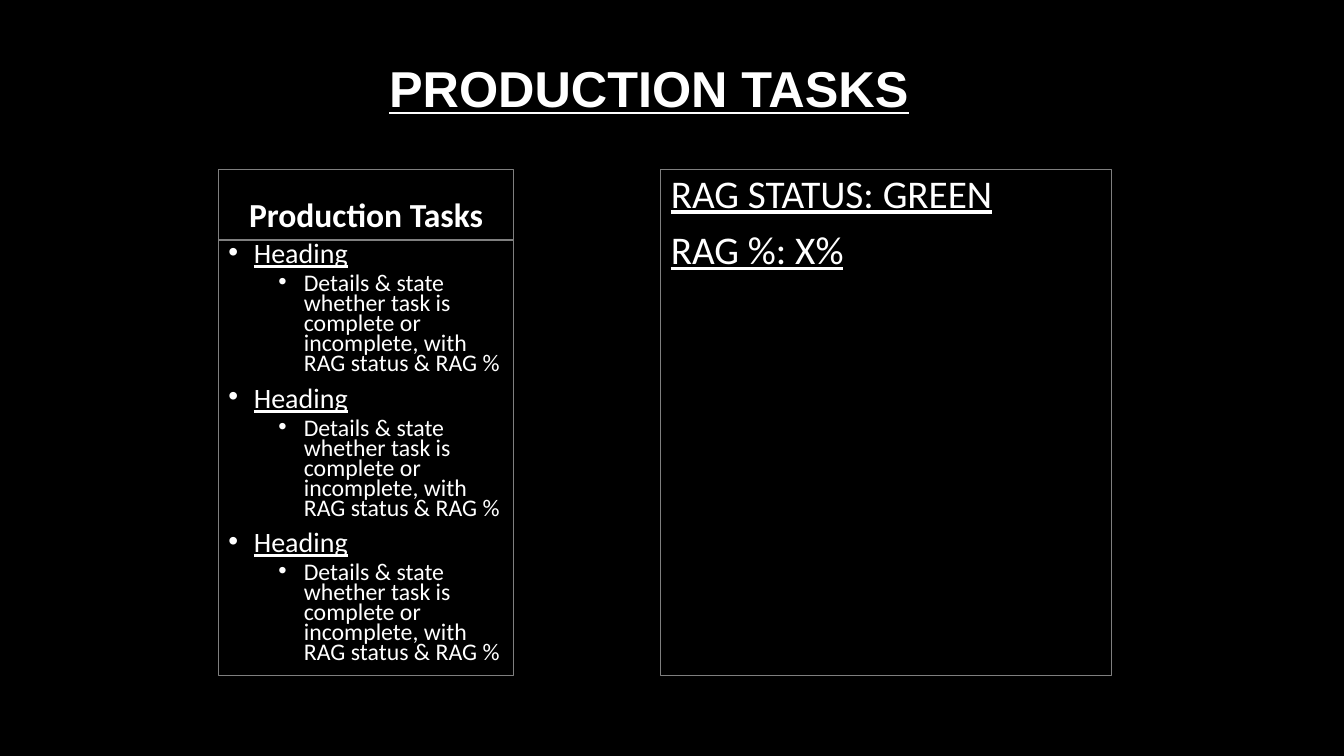
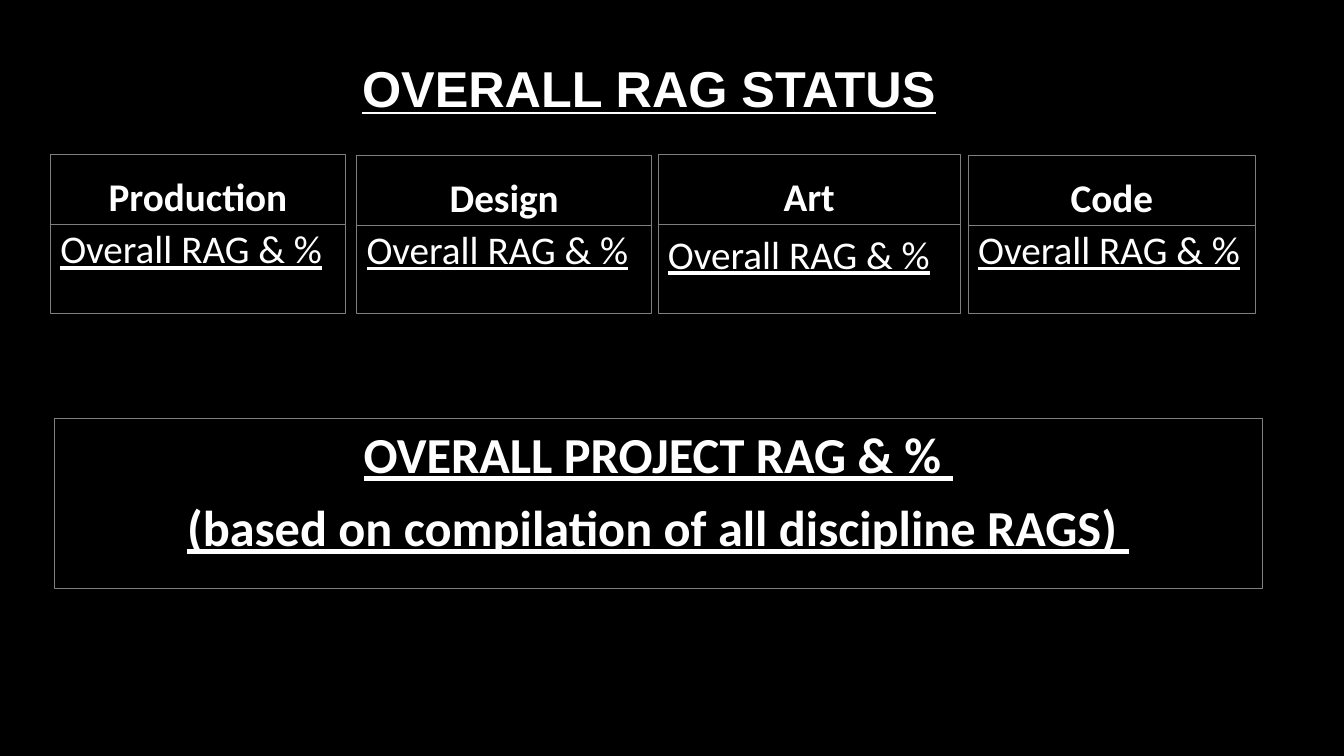
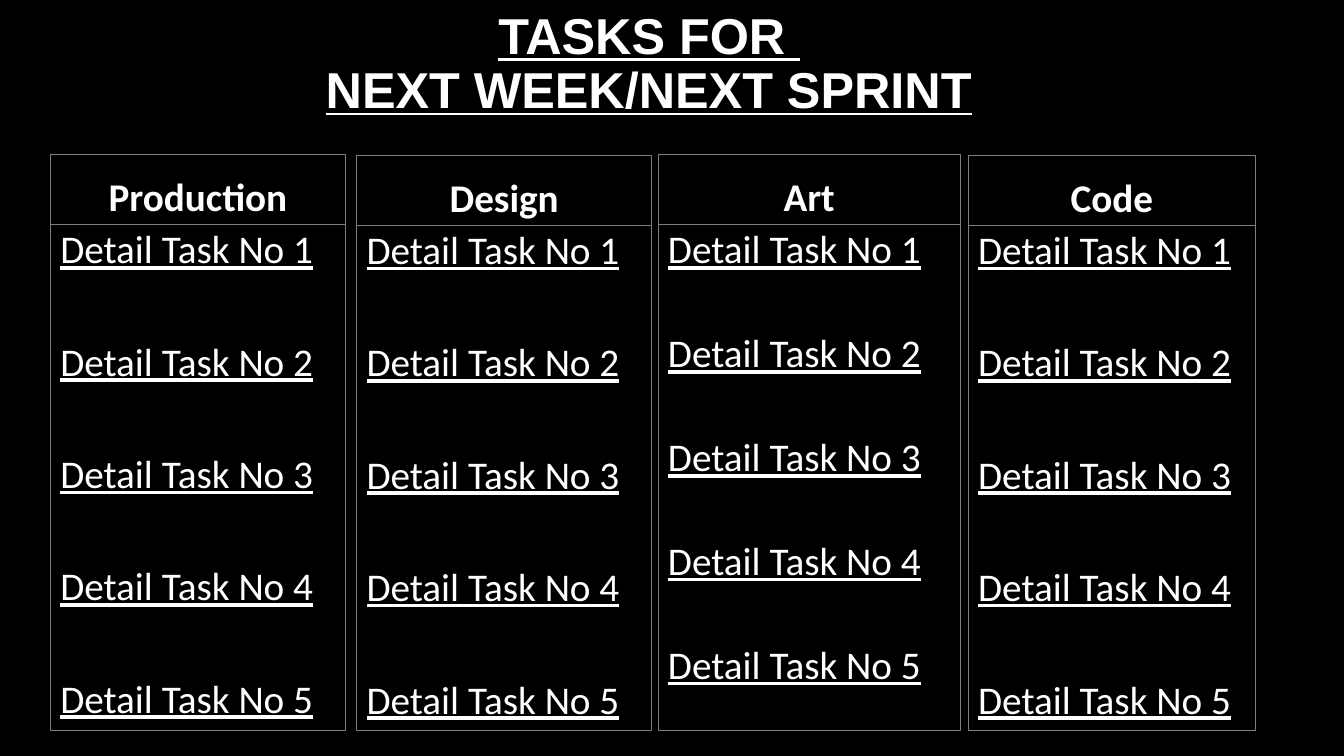
from dataclasses import dataclass

from lxml.etree import SubElement
from pptx import Presentation
from pptx.dml.color import RGBColor as RGB
from pptx.enum.shapes import MSO_SHAPE as Kind
from pptx.enum.text import MSO_ANCHOR as Anchor, PP_ALIGN as Align
from pptx.oxml.ns import qn
from pptx.slide import Slide
from pptx.text.text import _Paragraph as Para
from pptx.util import Cm, Pt


# Colours, fonts and type sizes
@dataclass(frozen=True)
class Theme:
    back: RGB = RGB(0x00, 0x00, 0x00)
    ink: RGB = RGB(0xFF, 0xFF, 0xFF)
    edge: RGB = RGB(0x7F, 0x7F, 0x7F)
    head: str = "Arial"
    body: str = "Calibri"
    big: int = 36
    text: int = 28
    label: int = 24
    item: int = 20
    note: int = 17


THEME = Theme()


@dataclass(frozen=True)
class Box:
    left: float
    top: float
    width: float
    height: float


@dataclass(frozen=True)
class Style:
    size: int = THEME.text
    font: str = THEME.body
    bold: bool = False
    under: bool = False
    mid: bool = False
    lead: float = 0.9
    gap: float = 0
    indent: float = 0  # left edge of bulleted text; 0 means no bullet


@dataclass(frozen=True)
class Line:
    text: str
    style: Style


@dataclass(frozen=True)
class Column:
    name: str
    left: float
    top: float
    width: float
    lead: float = 0.9  # line spacing of the status
    gap: float = 50  # points between tasks


TITLE = Style(THEME.big, THEME.head, bold=True, under=True, mid=True)
LABEL = Style(bold=True, mid=True)
TASK = Style(THEME.item, under=True, lead=0.7, gap=10, indent=0.64)
NOTE = Style(THEME.note, lead=0.7, gap=5, indent=1.9)

HEAD = 1.78  # height of a column's heading
HANG = 0.64  # room for a bullet
COLUMNS = (
    Column("Production", 1.27, 3.89, 7.44),
    Column("Design", 8.99, 3.91, 7.44),
    Column("Art", 16.59, 3.89, 7.62, lead=1.0, gap=44),
    Column("Code", 24.41, 3.91, 7.24),
)


# Text
def add_dot(para: Para, indent: float) -> None:
    props = para._p.get_or_add_pPr()
    props.set("marL", str(Cm(indent)))
    props.set("indent", str(-Cm(HANG)))
    tint = SubElement(SubElement(props, qn("a:buClr")), qn("a:srgbClr"))
    tint.set("val", str(THEME.ink))
    SubElement(props, qn("a:buFont")).set("typeface", THEME.head)
    SubElement(props, qn("a:buChar")).set("char", "•")


def set_para(para: Para, line: Line, first: bool) -> None:
    style = line.style
    para.text = line.text
    para.alignment = Align.CENTER if style.mid else Align.LEFT
    para.line_spacing = style.lead
    para.space_before = Pt(0 if first else style.gap)
    if style.indent:
        para.level = int(style.indent > HANG)
        add_dot(para, style.indent)
    for run in para.runs:
        font = run.font
        font.name, font.size = style.font, Pt(style.size)
        font.bold, font.underline = style.bold, style.under
        font.color.rgb = THEME.ink


def add_box(slide: Slide, box: Box, lines: list[Line],
            anchor: Anchor = Anchor.TOP, framed: bool = True) -> None:
    area = [Cm(n) for n in (box.left, box.top, box.width, box.height)]
    if framed:
        shape = slide.shapes.add_shape(Kind.RECTANGLE, *area)
        shape.shadow.inherit = False
        shape.fill.background()
        shape.line.color.rgb = THEME.edge
        shape.line.width = Pt(0.75)
    else:
        shape = slide.shapes.add_textbox(*area)
    frame = shape.text_frame
    frame.word_wrap = True
    frame.vertical_anchor = anchor
    for i, line in enumerate(lines):
        para = frame.add_paragraph() if i else frame.paragraphs[0]
        set_para(para, line, first=not i)


# Shared parts
def add_slide(deck: Presentation, *title: str, top: float = 0.71) -> Slide:
    slide = deck.slides.add_slide(deck.slide_layouts[6])
    add_box(slide, Box(4.93, top, 22.86, 3.18),
            [Line(text, TITLE) for text in title], Anchor.MIDDLE, framed=False)
    return slide


def add_column(slide: Slide, col: Column, end: float, lines: list[Line],
               size: int = THEME.text) -> None:
    label = Style(size, bold=True, mid=True)
    add_box(slide, Box(col.left, col.top, col.width, HEAD),
            [Line(col.name, label)], Anchor.BOTTOM)
    top = col.top + HEAD
    add_box(slide, Box(col.left, top, col.width, end - top), lines)


# Slides
def add_tasks(deck: Presentation) -> None:
    slide = add_slide(deck, "PRODUCTION TASKS")
    note = ("Details & state whether task is complete or incomplete, "
            "with RAG status & RAG %")
    col = Column("Production Tasks", 5.51, 4.27, 7.44)
    add_column(slide, col, 17.02,
               [Line("Heading", TASK), Line(note, NOTE)] * 3, THEME.label)
    style = Style(under=True, gap=10)
    add_box(slide, Box(16.66, col.top, 11.35, 12.75),
            [Line("RAG STATUS: GREEN", style), Line("RAG %: X%", style)])


def add_status(deck: Presentation) -> None:
    slide = add_slide(deck, "OVERALL RAG STATUS")
    for col in COLUMNS:
        style = Style(under=True, lead=col.lead)
        add_column(slide, col, 7.9, [Line("Overall RAG & %", style)])
    style = Style(THEME.big, bold=True, under=True, mid=True, lead=1.0, gap=9)
    add_box(slide, Box(1.37, 10.54, 30.45, 4.29),
            [Line("OVERALL PROJECT RAG & % ", style),
             Line("(based on compilation of all discipline RAGS) ", style)])


def add_next(deck: Presentation) -> None:
    slide = add_slide(deck, "TASKS FOR ", "NEXT WEEK/NEXT SPRINT", top=0.05)
    for col in COLUMNS:
        style = Style(under=True, gap=col.gap)
        add_column(slide, col, 18.42,
                   [Line(f"Detail Task No {n}", style) for n in range(1, 6)])


def main() -> None:
    deck = Presentation()
    deck.slide_width, deck.slide_height = Cm(33.88), Cm(19.05)
    fill = deck.slide_master.background.fill
    fill.solid()
    fill.fore_color.rgb = THEME.back
    add_tasks(deck)
    add_status(deck)
    add_next(deck)
    deck.save("out.pptx")


if __name__ == "__main__":
    main()
